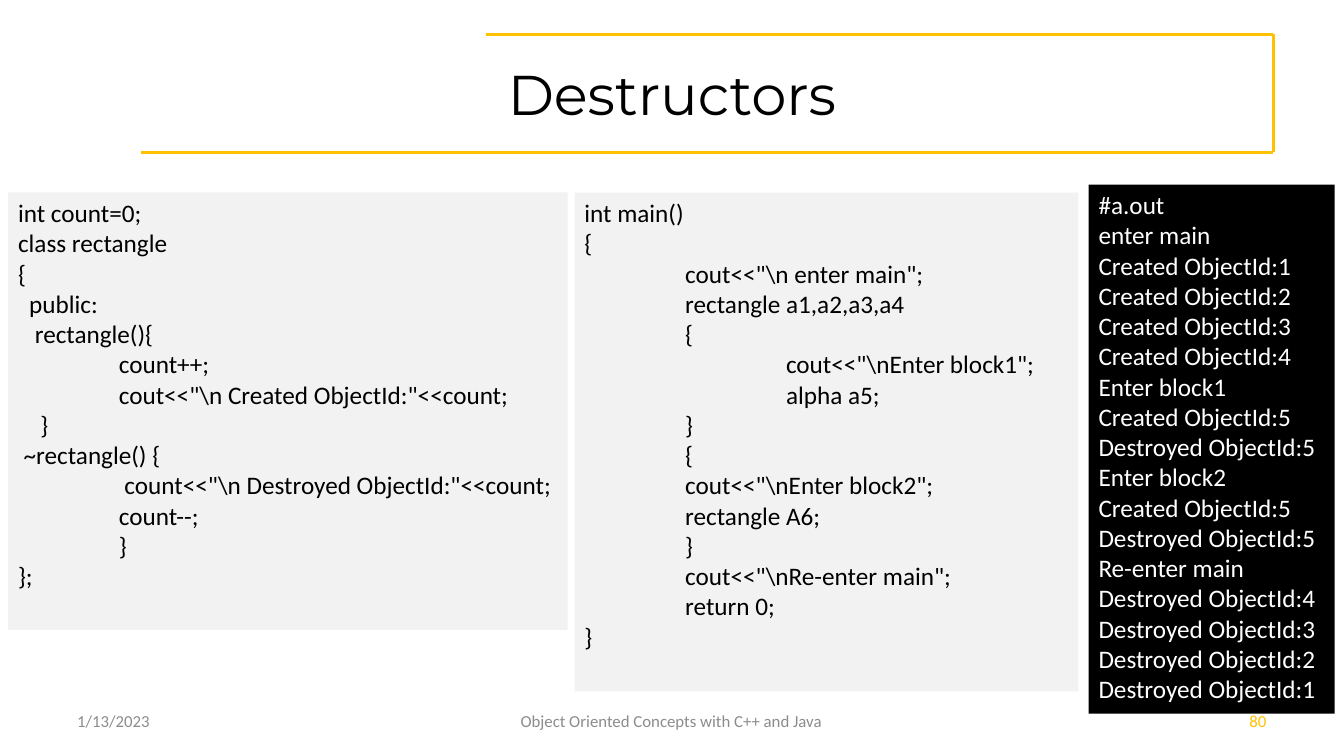
from pptx import Presentation
from pptx.dml.color import RGBColor
from pptx.enum import shapes, text
from pptx.oxml.ns import qn
from pptx.util import Pt
from lxml import etree

# Content: code lines as (indent in points, text)
TAB, SPACE = 72, 4
CLASS_CODE = [
    (0, "int count=0;"),
    (0, "class rectangle"),
    (0, "{"),
    (2 * SPACE, "public:"),
    (3 * SPACE, "rectangle(){"),
    (TAB, "count++;"),
    (TAB, 'cout<<"\\n Created ObjectId:"<<count;'),
    (4 * SPACE, "}"),
    (SPACE, "~rectangle() {"),
    (TAB + SPACE, 'count<<"\\n Destroyed ObjectId:"<<count;'),
    (TAB, "count--;"),
    (TAB, "}"),
    (0, "};"),
]
MAIN_CODE = [
    (0, "int main()"),
    (0, "{"),
    (TAB, 'cout<<"\\n enter main";'),
    (TAB, "rectangle a1,a2,a3,a4"),
    (TAB, "{"),
    (2 * TAB, 'cout<<"\\nEnter block1";'),
    (2 * TAB, "alpha a5;"),
    (TAB, "}"),
    (TAB, "{"),
    (TAB, 'cout<<"\\nEnter block2";'),
    (TAB, "rectangle A6;"),
    (TAB, "}"),
    (TAB, 'cout<<"\\nRe-enter main";'),
    (TAB, "return 0;"),
    (0, "}"),
]
OUTPUT = [(0, line) for line in (
    "#a.out", "enter main",
    "Created ObjectId:1", "Created ObjectId:2",
    "Created ObjectId:3", "Created ObjectId:4",
    "Enter block1", "Created ObjectId:5", "Destroyed ObjectId:5",
    "Enter block2", "Created ObjectId:5", "Destroyed ObjectId:5",
    "Re-enter main",
    "Destroyed ObjectId:4", "Destroyed ObjectId:3",
    "Destroyed ObjectId:2", "Destroyed ObjectId:1",
)]

# Boxes are left, top, width, height in points
PANELS = [
    ((5.8, 137.5, 399.6, 312.5), "F2F2F2", "000000", CLASS_CODE),
    ((410.4, 137.5, 360, 356.4), "F2F2F2", "000000", MAIN_CODE),
    ((777.6, 131.8, 175.7, 378), "000000", "FFFFFF", OUTPUT),
]
LEFT, CENTER, RIGHT = (text.PP_ALIGN.LEFT, text.PP_ALIGN.CENTER,
                       text.PP_ALIGN.RIGHT)
LABELS = [
    ((48, 21.6, 864, 90), "Destructors", CENTER, 40, "Montserrat", "000000"),
    ((48, 500.4, 224, 28.8), "1/13/2023", LEFT, 12, "Calibri", "8C8C8C"),
    ((327.6, 500.4, 304, 28.8), "Object Oriented Concepts with C++ and Java",
     CENTER, 12, "Calibri", "8C8C8C"),
    ((687.6, 500.4, 224, 28.8), "80", RIGHT, 12, "Calibri", "FFC000"),
]
FRAME = [(347, 24.5), (909.4, 24.5), (909.4, 108.7), (100.8, 108.7)]


def color(value):
    return RGBColor.from_string(value)


def add_run(p, words, size, font, ink):
    r = p.add_run()
    r.text = words
    r.font.size = Pt(size)
    r.font.name = font
    r.font.color.rgb = color(ink)


prs = Presentation()
prs.slide_width, prs.slide_height = Pt(960), Pt(540)
s = prs.slides.add_slide(prs.slide_layouts[6])

# Open frame around the title
for start, end in zip(FRAME, FRAME[1:]):
    line = s.shapes.add_connector(shapes.MSO_CONNECTOR.STRAIGHT,
                                  *map(Pt, start + end))
    line.line.color.rgb = color("FFC100")
    line.line.width = Pt(2)
    etree.SubElement(line._element.spPr, qn("a:effectLst"))

# Title and footer
for box, words, align, size, font, ink in LABELS:
    tf = s.shapes.add_textbox(*map(Pt, box)).text_frame
    tf.word_wrap = True
    tf.vertical_anchor = text.MSO_ANCHOR.MIDDLE
    p = tf.paragraphs[0]
    p.alignment = align
    add_run(p, words, size, font, ink)

# Code and output panels
for box, fill, ink, lines in PANELS:
    sp = s.shapes.add_shape(shapes.MSO_SHAPE.RECTANGLE, *map(Pt, box))
    sp.shadow.inherit = False
    sp.fill.solid()
    sp.fill.fore_color.rgb = color(fill)
    sp.line.fill.background()
    tf = sp.text_frame
    tf.word_wrap = True
    tf.vertical_anchor = text.MSO_ANCHOR.TOP
    for i, (indent, words) in enumerate(lines):
        p = tf.add_paragraph() if i else tf.paragraphs[0]
        p.alignment = LEFT
        p._p.get_or_add_pPr().set("marL", str(Pt(indent)))
        add_run(p, words, 18, "Calibri", ink)

prs.save("out.pptx")
